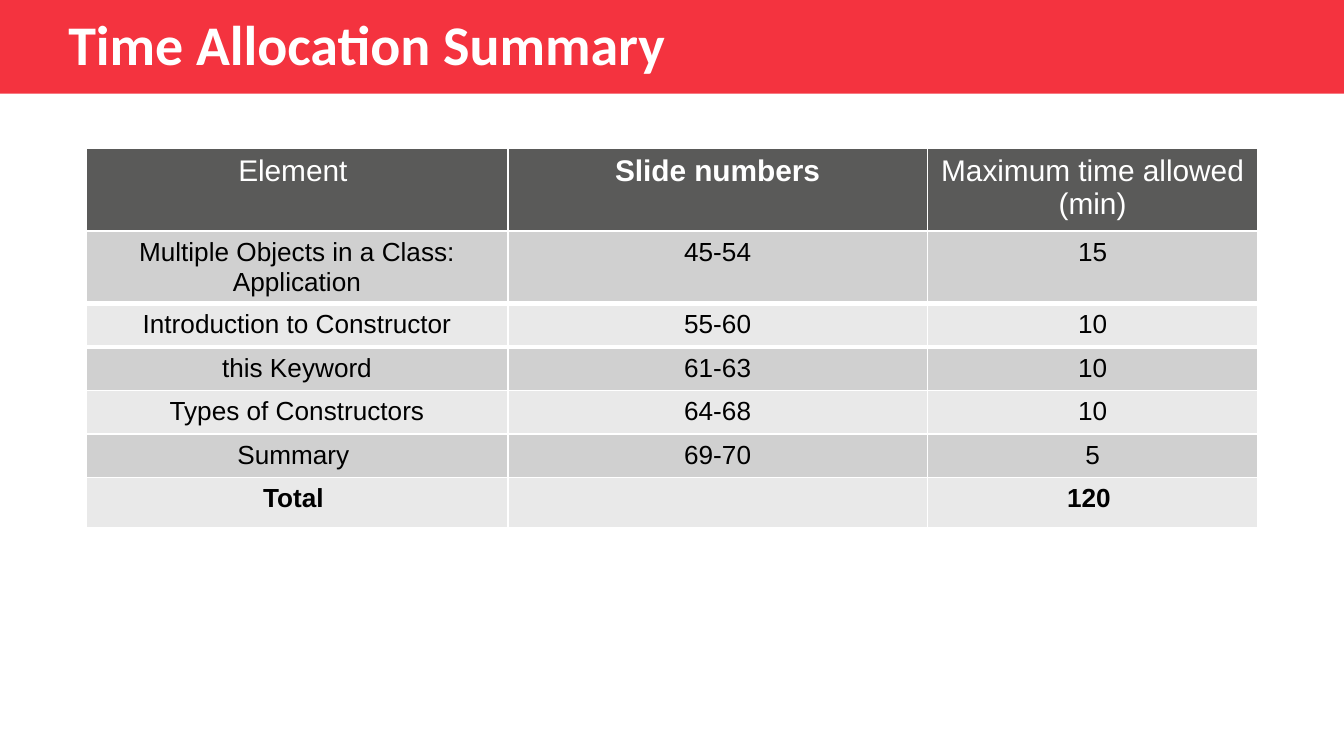
from lxml.etree import SubElement
from pptx import Presentation
from pptx.dml.color import RGBColor
from pptx.enum.shapes import MSO_SHAPE as Shape
from pptx.enum.text import MSO_ANCHOR as Anchor, PP_ALIGN as Align
from pptx.oxml.ns import qn
from pptx.util import Inches, Pt

WIDTH = Inches(10)
HEIGHT = WIDTH * 9 // 16
RED = RGBColor(0xF4, 0x33, 0x3F)
WHITE = RGBColor(0xFF, 0xFF, 0xFF)
BLACK = RGBColor(0, 0, 0)
HEADER_GRAY = RGBColor(0x5A, 0x5A, 0x59)
BANDS = [RGBColor(0xD0, 0xD0, 0xD0), RGBColor(0xE9, 0xE9, 0xE9)]

# Shares of the slide's width and height, in percent
COLUMN_SHARES = [31.4, 31.2, 24.6]
ROW_SHARES = [11, 9.4] + [5.76] * 4 + [6.7]
THIN, THICK = 1, 3
# Line widths from the top of the table to its bottom
ROW_LINES = [THIN, THIN, THICK, THICK, THIN, THIN, THIN, THIN]

ROWS = [
    ("Element ", "Slide numbers", "Maximum time allowed (min)"),
    ("Multiple Objects in a Class: Application", "45-54", "15"),
    ("Introduction to Constructor", "55-60", "10"),
    ("this Keyword", "61-63", "10"),
    ("Types of Constructors", "64-68", "10"),
    ("Summary ", "69-70", "5"),
    ("Total ", "", "120 "),
]


def across(percent):
    return round(WIDTH * percent / 100)


def down(percent):
    return round(HEIGHT * percent / 100)


def format_runs(paragraph, font_name, size, color, bold):
    for run in paragraph.runs:
        font = run.font
        font.name, font.size, font.bold = font_name, Pt(size), bold
        font.color.rgb = color


def add_banner(slide):
    banner = slide.shapes.add_shape(Shape.RECTANGLE, 0, 0, WIDTH, down(12.4))
    banner.shadow.inherit = False
    banner.fill.solid()
    banner.fill.fore_color.rgb = RED
    banner.line.fill.background()


def add_title(slide, text):
    box = slide.shapes.add_textbox(across(4.1), down(-1.9), across(66.8), down(15.3))
    frame = box.text_frame
    frame.word_wrap = True
    frame.vertical_anchor = Anchor.MIDDLE
    frame.text = text
    format_runs(frame.paragraphs[0], "Calibri", 30, WHITE, True)


def set_borders(cell, top, bottom):
    """Draw white cell borders; the sides are thin. Call before filling the cell."""
    properties = cell._tc.get_or_add_tcPr()
    for side, width in (("L", THIN), ("R", THIN), ("T", top), ("B", bottom)):
        line = SubElement(properties, qn(f"a:ln{side}"), w=str(Pt(width)))
        fill = SubElement(line, qn("a:solidFill"))
        SubElement(fill, qn("a:srgbClr"), val=str(WHITE))


def set_empty_font(paragraph, font_name, size):
    """Set the font that gives an empty paragraph its height."""
    ending = SubElement(paragraph._p, qn("a:endParaRPr"), sz=str(size * 100))
    SubElement(ending, qn("a:latin"), typeface=font_name)


def fill_cell(cell, text, row, column):
    is_header = row == 0
    set_borders(cell, ROW_LINES[row], ROW_LINES[row + 1])
    cell.fill.solid()
    cell.fill.fore_color.rgb = HEADER_GRAY if is_header else BANDS[(row - 1) % 2]
    cell.text_frame.text = text
    paragraph = cell.text_frame.paragraphs[0]
    paragraph.alignment = Align.CENTER
    bold = column == 1 if is_header else row == len(ROWS) - 1
    size, color = (16, WHITE) if is_header else (14, BLACK)
    format_runs(paragraph, "Arial", size, color, bold)
    if not text:
        set_empty_font(paragraph, "Arial", size)


def add_time_table(slide):
    table = slide.shapes.add_table(
        len(ROWS), len(COLUMN_SHARES), across(6.4), down(19.6),
        across(sum(COLUMN_SHARES)), down(sum(ROW_SHARES)),
    ).table
    for column, share in zip(table.columns, COLUMN_SHARES):
        column.width = across(share)
    for row, share in zip(table.rows, ROW_SHARES):
        row.height = down(share)
    for row, texts in enumerate(ROWS):
        for column, text in enumerate(texts):
            fill_cell(table.cell(row, column), text, row, column)


def main():
    presentation = Presentation()
    presentation.slide_width, presentation.slide_height = WIDTH, HEIGHT
    slide = presentation.slides.add_slide(presentation.slide_layouts[6])
    add_banner(slide)
    add_time_table(slide)
    add_title(slide, "Time Allocation Summary")
    presentation.save("out.pptx")


if __name__ == "__main__":
    main()
